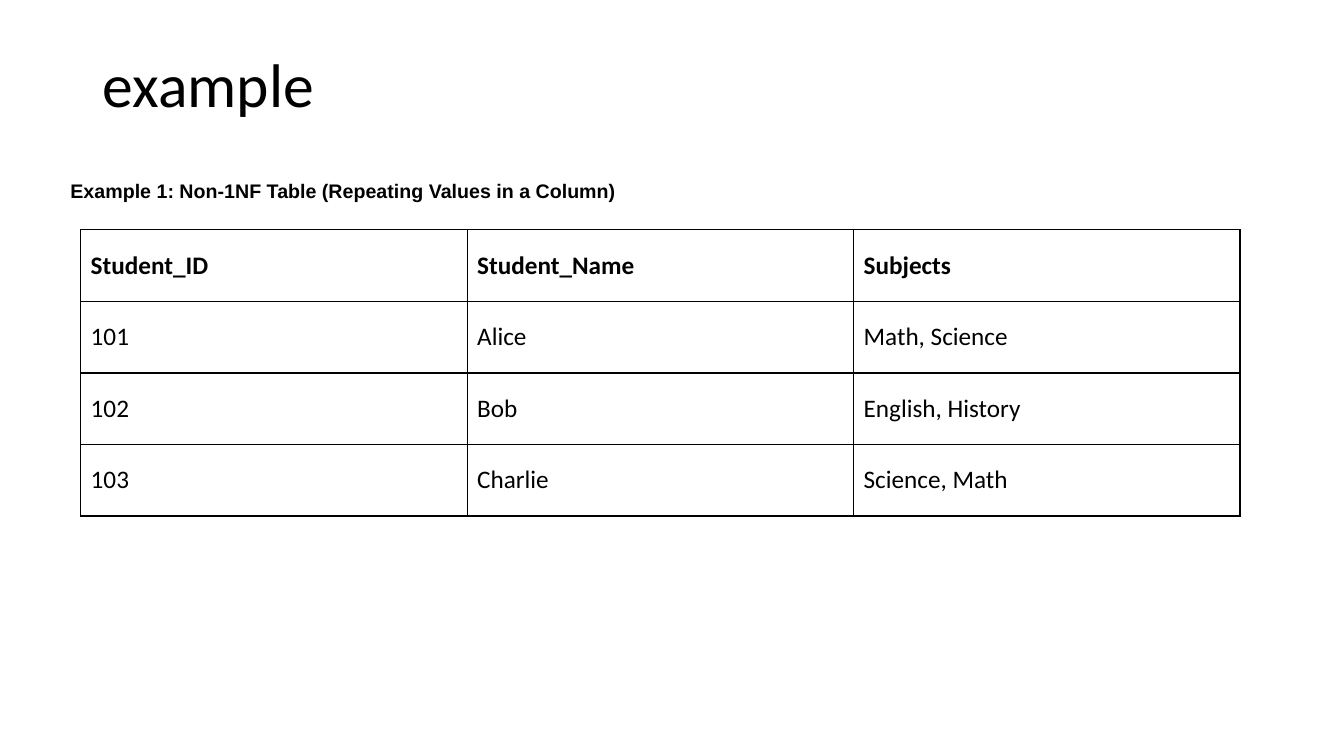
from pptx import Presentation
from pptx import util as u
from pptx.dml.color import RGBColor
from pptx.enum import text
from pptx.oxml import parse_xml
from pptx.oxml.ns import nsdecls

COLORS = {"ink": "000000", "paper": "FFFFFF"}
ROWS = [
    ("Student_ID", "Student_Name", "Subjects"),
    ("101", "Alice", "Math, Science"),
    ("102", "Bob", "English, History"),
    ("103", "Charlie", "Science, Math"),
]


class SlideBuilder:
    def __init__(self, prs):
        self.slide = prs.slides.add_slide(prs.slide_layouts[5])

    def paragraph(self, tf, content, size, font="Calibri", bold=False):
        p = tf.paragraphs[0]
        p.text = content
        p.alignment = text.PP_ALIGN.LEFT
        p.font.name = font
        p.font.size = u.Pt(size)
        p.font.bold = bold
        p.font.color.rgb = RGBColor.from_string(COLORS["ink"])
        return p

    def title(self, content, x, y, w, h):
        sp = self.slide.shapes.title
        sp.left, sp.top, sp.width, sp.height = map(u.Inches, (x, y, w, h))
        tf = sp.text_frame
        tf.vertical_anchor = text.MSO_ANCHOR.MIDDLE
        self.paragraph(tf, content, 44).line_spacing = 0.9

    def caption(self, content, x, y, w, h):
        sp = self.slide.shapes.add_textbox(*map(u.Inches, (x, y, w, h)))
        tf = sp.text_frame
        tf.word_wrap = True
        tf.margin_top = tf.margin_bottom = 0
        tf.vertical_anchor = text.MSO_ANCHOR.TOP
        self.paragraph(tf, content, 14, "Arial", True)

    def border(self, cell):
        tc_pr = cell._tc.get_or_add_tcPr()
        for i, side in enumerate(("lnL", "lnR", "lnT", "lnB")):
            tc_pr.insert(i, parse_xml(
                f'<a:{side} {nsdecls("a")} w="12700"><a:solidFill>'
                f'<a:srgbClr val="{COLORS["ink"]}"/></a:solidFill></a:{side}>'))

    def table(self, rows, x, y, w, h):
        table = self.slide.shapes.add_table(
            len(rows), len(rows[0]), *map(u.Inches, (x, y, w, h))).table
        table.horz_banding = False
        for i, row in enumerate(rows):
            for j, content in enumerate(row):
                cell = table.cell(i, j)
                cell.fill.solid()
                cell.fill.fore_color.rgb = RGBColor.from_string(COLORS["paper"])
                cell.vertical_anchor = text.MSO_ANCHOR.MIDDLE
                self.paragraph(cell.text_frame, content, 18, bold=i == 0)
                self.border(cell)


def main():
    prs = Presentation()
    prs.slide_width, prs.slide_height = u.Inches(13.33), u.Inches(7.5)
    s = SlideBuilder(prs)
    s.title("example", 0.92, 0.4, 11.5, 0.93)
    s.table(ROWS, 0.8, 2.28, 11.5, 2.84)
    s.caption("Example 1: Non-1NF Table (Repeating Values in a Column)",
              0.6, 1.78, 13.33, 0.5)
    prs.save("out.pptx")


if __name__ == "__main__":
    main()
